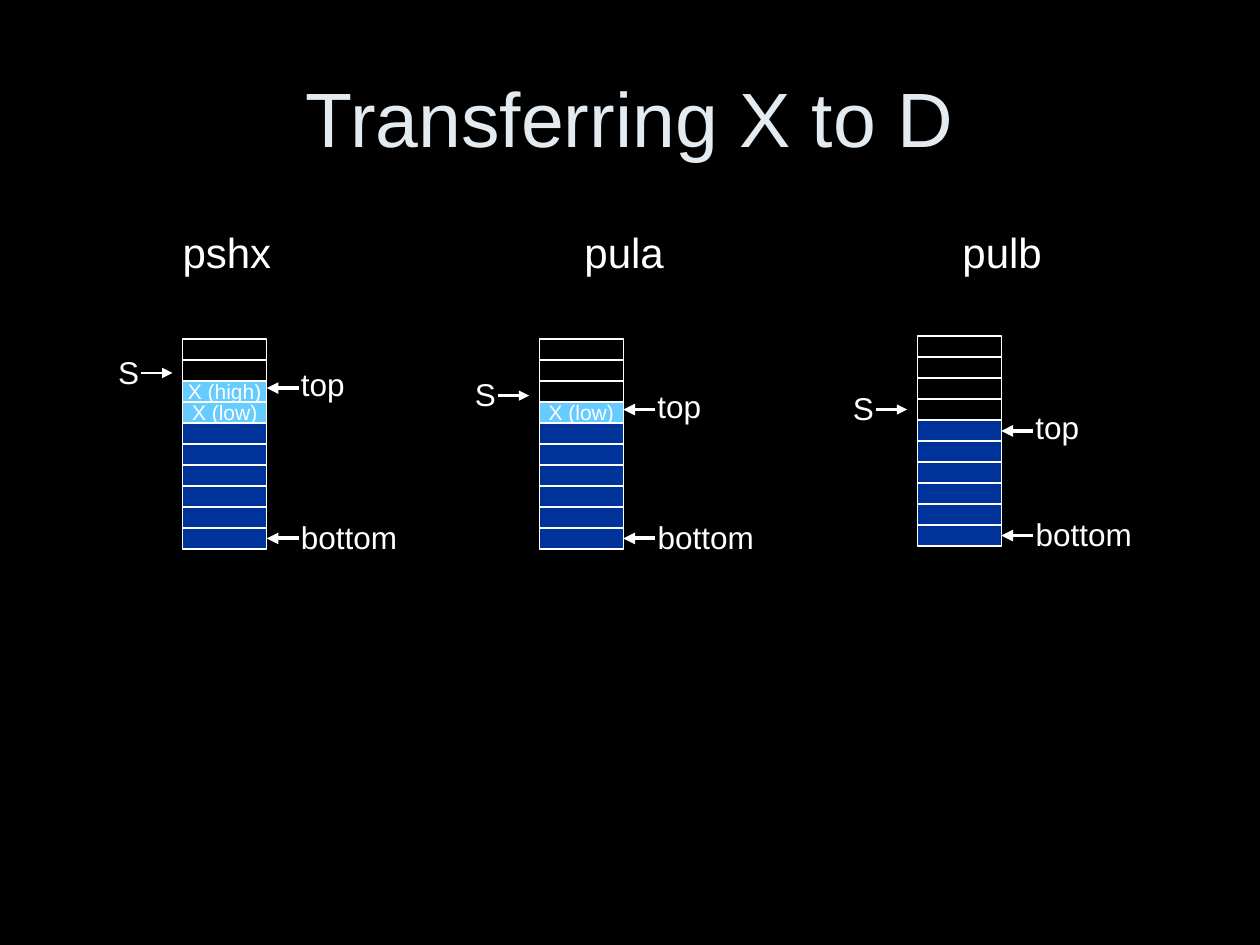
from lxml import etree
from pptx import Presentation
from pptx.dml.color import RGBColor
from pptx.enum.shapes import MSO_CONNECTOR, MSO_SHAPE
from pptx.enum.text import MSO_ANCHOR, MSO_AUTO_SIZE, PP_ALIGN
from pptx.oxml.ns import qn
from pptx.util import Inches, Pt

BLACK = RGBColor(0x00, 0x00, 0x00)
WHITE = RGBColor(0xFF, 0xFF, 0xFF)
PALE = RGBColor(0xE3, 0xEB, 0xF1)
NAVY = RGBColor(0x00, 0x33, 0x99)
SKY = RGBColor(0x66, 0xCC, 0xFF)

CELL_W = 2 / 3
CELL_H = 1 / 6
CELL_COUNT = 10


def set_text(sp, text, size=18, color=WHITE, align=PP_ALIGN.LEFT,
             anchor=MSO_ANCHOR.TOP, wrap=False, grow=False, tabs=()):
    tf = sp.text_frame
    tf.word_wrap = wrap
    tf.auto_size = MSO_AUTO_SIZE.SHAPE_TO_FIT_TEXT if grow else MSO_AUTO_SIZE.NONE
    tf.vertical_anchor = anchor
    tf.margin_left = tf.margin_right = Inches(0.1)
    tf.margin_top = tf.margin_bottom = Inches(0.05)
    p = tf.paragraphs[0]
    p.alignment = align
    if tabs:
        tab_list = etree.SubElement(p._p.get_or_add_pPr(), qn("a:tabLst"))
        for pos in tabs:
            etree.SubElement(tab_list, qn("a:tab"), pos=str(Inches(pos)), algn="l")
    r = p.add_run()
    r.text = text
    r.font.name = "Arial"
    r.font.size = Pt(size)
    r.font.color.rgb = color


def add_title(s, text):
    sp = s.shapes.title
    sp.left, sp.top = Inches(0.5), Inches(0.3)
    sp.width, sp.height = Inches(9), Inches(1.25)
    set_text(sp, text, size=44, color=PALE, align=PP_ALIGN.CENTER,
             anchor=MSO_ANCHOR.MIDDLE, wrap=True)


def add_label(s, text, x, y, w, h=0.4, **fmt):
    sp = s.shapes.add_textbox(Inches(x), Inches(y), Inches(w), Inches(h))
    set_text(sp, text, **fmt)


def add_arrow(s, x1, x2, y, width):
    line = s.shapes.add_connector(MSO_CONNECTOR.STRAIGHT, Inches(x1), Inches(y),
                                  Inches(x2), Inches(y))
    line.line.color.rgb = WHITE
    line.line.width = Pt(width)
    etree.SubElement(line.line._get_or_add_ln(), qn("a:tailEnd"), type="triangle")
    etree.SubElement(line._element.spPr, qn("a:effectLst"))


def add_cell(s, x, y, fill=None, text=None):
    sp = s.shapes.add_shape(MSO_SHAPE.RECTANGLE, Inches(x), Inches(y),
                            Inches(CELL_W), Inches(CELL_H))
    sp.shadow.inherit = False
    if fill is None:
        sp.fill.background()
    else:
        sp.fill.solid()
        sp.fill.fore_color.rgb = fill
    sp.line.color.rgb = WHITE
    sp.line.width = Pt(0.75)
    if text:
        set_text(sp, text, size=12, align=PP_ALIGN.CENTER, anchor=MSO_ANCHOR.MIDDLE)


def add_stack(s, x, y, free, pushed, pointer_y, top_y):
    for i in range(CELL_COUNT):
        cell_y = y + i * CELL_H
        if i < free:
            add_cell(s, x, cell_y)
        elif i < free + len(pushed):
            add_cell(s, x, cell_y, SKY, pushed[i - free])
        else:
            add_cell(s, x, cell_y, NAVY)

    add_label(s, "S", x - 0.61, pointer_y - 0.21, 0.36, grow=True)
    add_arrow(s, x - 0.33, x - 0.08, pointer_y, 1.5)

    bottom_y = y + (CELL_COUNT - 0.5) * CELL_H
    for text, arrow_y, rise, w in (("top", top_y, 0.23, 0.57),
                                   ("bottom", bottom_y, 0.21, 0.99)):
        add_label(s, text, x + 0.84, arrow_y - rise, w, grow=True)
        add_arrow(s, x + 0.92, x + CELL_W, arrow_y, 2.25)


def main():
    prs = Presentation()
    prs.slide_width, prs.slide_height = Inches(10), Inches(7.5)
    s = prs.slides.add_slide(prs.slide_layouts[5])
    s.background.fill.solid()
    s.background.fill.fore_color.rgb = BLACK

    add_title(s, "Transferring X to D")
    add_label(s, "pshx\tpula\tpulb", 1.35, 1.75, 7.15, 0.92,
              size=24, wrap=True, tabs=(3.19, 6.19))

    add_stack(s, 1.45, 2.69, 2, ["X (high)", "X (low)"], 2.96, 3.08)
    add_stack(s, 4.28, 2.69, 3, ["X (low)"], 3.14, 3.25)
    add_stack(s, 7.28, 8 / 3, 4, [], 3.25, 3.42)

    prs.save("out.pptx")


if __name__ == "__main__":
    main()
